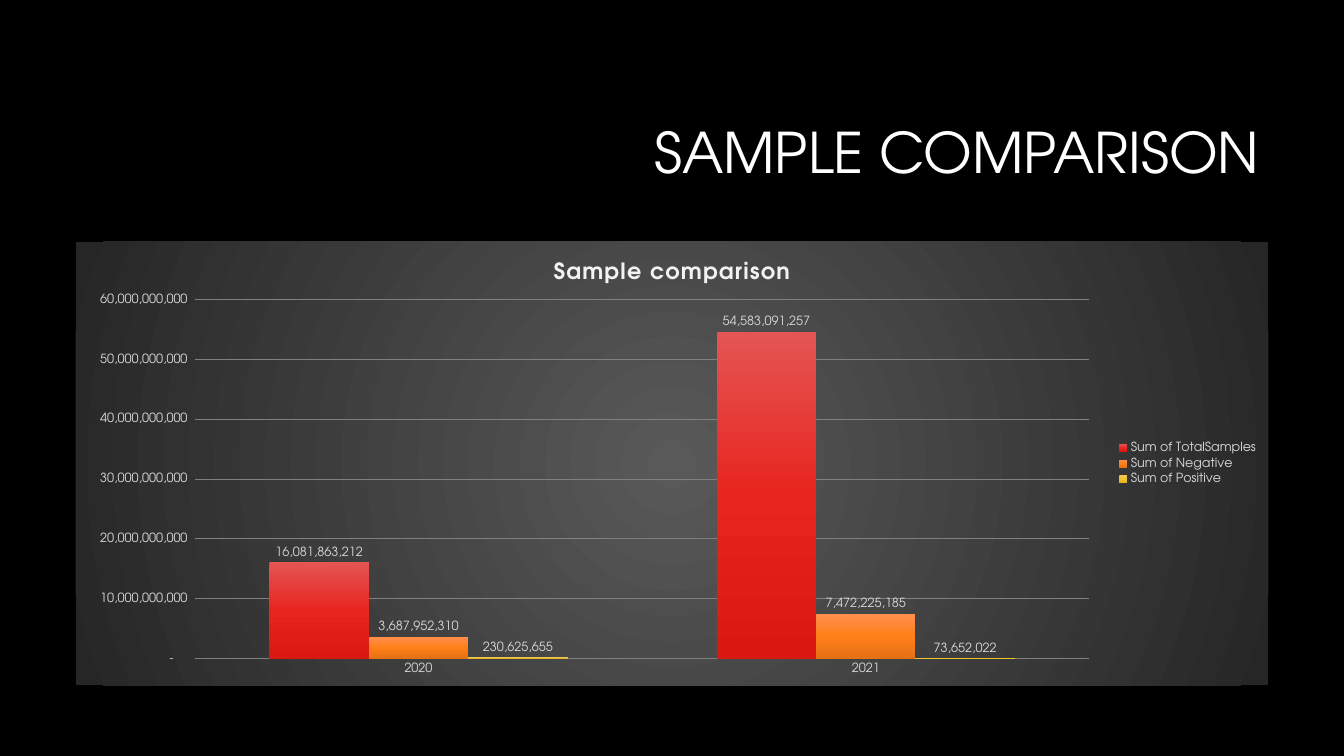
from lxml.etree import fromstring
from pptx import Presentation
from pptx.chart.data import CategoryChartData
from pptx.dml.color import RGBColor
from pptx.enum.chart import XL_CHART_TYPE, XL_LABEL_POSITION, XL_LEGEND_POSITION, XL_TICK_MARK
from pptx.enum.text import MSO_ANCHOR, PP_ALIGN
from pptx.oxml import parse_xml
from pptx.oxml.ns import nsdecls, qn
from pptx.util import Inches, Pt

FONT = "TeX Gyre Adventor"
BLACK = RGBColor(0x00, 0x00, 0x00)
WHITE = RGBColor(0xFF, 0xFF, 0xFF)
OFF_WHITE = RGBColor(0xF2, 0xF2, 0xF2)
LIGHT = RGBColor(0xD9, 0xD9, 0xD9)
GRID = RGBColor(0x80, 0x80, 0x80)
PANEL = (RGBColor(0x59, 0x59, 0x59), RGBColor(0x26, 0x26, 0x26))
RED = (RGBColor(0xE4, 0x55, 0x53), RGBColor(0xE8, 0x25, 0x1F), RGBColor(0xD8, 0x18, 0x11))
ORANGE = (RGBColor(0xFF, 0x8F, 0x4F), RGBColor(0xFF, 0x80, 0x19), RGBColor(0xE5, 0x71, 0x14))
YELLOW = (RGBColor(0xED, 0xC6, 0x59), RGBColor(0xF2, 0xC4, 0x2C), RGBColor(0xE1, 0xB3, 0x1D))
NUMBER = '_ * #,##0_ ;_ * \\-#,##0_ ;_ * "-"??_ ;_ '
LINEAR = '<a:lin ang="5400000" scaled="0"/>'
RADIAL = '<a:path path="circle"><a:fillToRect l="50000" t="50000" r="50000" b="50000"/></a:path>'

YEARS = ("2020", "2021")
SERIES = (
    ("Sum of TotalSamples", (16081863212, 54583091257), RED),
    ("Sum of Negative", (3687952310, 7472225185), ORANGE),
    ("Sum of Positive", (230625655, 73652022), YELLOW),
)


def set_font(font, size=9, color=LIGHT, bold=False):
    font.name = FONT
    font.size = Pt(size)
    font.bold = bold
    font.color.rgb = color


def write(tf, text, align=None, line_spacing=None, spacing=None, **fmt):
    p = tf.paragraphs[0]
    p.alignment = align
    p.line_spacing = line_spacing
    r = p.add_run()
    r.text = text
    set_font(r.font, **fmt)
    if spacing:
        r.font._element.set("spc", str(spacing))


def gradient(colors, direction):
    step = 100000 // (len(colors) - 1)
    stops = "".join(
        f'<a:gs pos="{i * step}"><a:srgbClr val="{color}"/></a:gs>'
        for i, color in enumerate(colors)
    )
    return f'<a:gradFill rotWithShape="1"><a:gsLst>{stops}</a:gsLst>{direction}</a:gradFill>'


class Deck:
    def __init__(self, width, height):
        self.prs = Presentation()
        self.prs.slide_width = Inches(width)
        self.prs.slide_height = Inches(height)

    def add_slide(self, color):
        self.s = self.prs.slides.add_slide(self.prs.slide_layouts[6])
        self.s.background.fill.solid()
        self.s.background.fill.fore_color.rgb = color

    def add_text(self, text, box, **fmt):
        tf = self.s.shapes.add_textbox(*map(Inches, box)).text_frame
        tf.word_wrap = True
        tf.vertical_anchor = MSO_ANCHOR.MIDDLE
        write(tf, text, **fmt)

    def add_columns(self, title, categories, series, box, plot_area):
        data = CategoryChartData(number_format=NUMBER)
        data.categories = categories
        for name, values, _ in series:
            data.add_series(name, values)
        chart = self.s.shapes.add_chart(
            XL_CHART_TYPE.COLUMN_CLUSTERED, *map(Inches, box), data
        ).chart
        set_font(chart.font, size=10, color=WHITE)
        write(chart.chart_title.text_frame, title, size=16, color=OFF_WHITE, bold=True, spacing=100)
        chart.chart_title.include_in_layout = False
        chart.has_legend = True
        chart.legend.position = XL_LEGEND_POSITION.RIGHT
        chart.legend.include_in_layout = False
        set_font(chart.legend.font)
        self.style_axes(chart)
        self.style_series(chart.plots[0], series)
        self.style_panel(chart, plot_area)

    def style_axes(self, chart):
        for axis in (chart.category_axis, chart.value_axis):
            axis.major_tick_mark = axis.minor_tick_mark = XL_TICK_MARK.NONE
            axis.format.line.fill.background()
            set_font(axis.tick_labels.font)
        axis = chart.value_axis
        axis.minimum_scale = 0
        axis.maximum_scale = 60_000_000_000
        axis.major_unit = 10_000_000_000
        axis.tick_labels.number_format = NUMBER
        axis.tick_labels.number_format_is_linked = False
        axis.major_gridlines.format.line.color.rgb = GRID
        axis.major_gridlines.format.line.width = Pt(0.75)

    def style_series(self, plot, series):
        plot.gap_width = 150
        plot.overlap = 0
        plot.vary_by_categories = False
        for columns, (_, _, colors) in zip(plot.series, series):
            fill = gradient(colors, LINEAR).replace("<a:gradFill", f"<a:gradFill {nsdecls('a')}", 1)
            columns._element.get_or_add_spPr().append(fromstring(fill))
            labels = columns.data_labels
            labels.show_value = True
            labels.position = XL_LABEL_POSITION.OUTSIDE_END
            labels.number_format = NUMBER
            labels.number_format_is_linked = False
            set_font(labels.font)

    def style_panel(self, chart, plot_area):
        space = chart._chartSpace
        space.find(qn("c:chart")).addnext(parse_xml(
            f'<c:spPr {nsdecls("c", "a")}>{gradient(PANEL, RADIAL)}<a:ln><a:noFill/></a:ln></c:spPr>'
        ))
        area = space.find(".//" + qn("c:plotArea"))
        for layout in area.findall(qn("c:layout")):
            area.remove(layout)
        places = "".join(f'<c:{key} val="{value}"/>' for key, value in zip("xywh", plot_area))
        area.insert(0, parse_xml(
            f'<c:layout {nsdecls("c")}><c:manualLayout><c:layoutTarget val="inner"/>'
            f'<c:xMode val="edge"/><c:yMode val="edge"/>{places}</c:manualLayout></c:layout>'
        ))


deck = Deck(13.33, 7.5)
deck.add_slide(BLACK)
deck.add_text("SAMPLE COMPARISON", (3.17, 0.84, 9.42, 1.41), align=PP_ALIGN.RIGHT,
              line_spacing=0.9, size=40, color=WHITE)
deck.add_columns("Sample comparison", YEARS, SERIES, (0.75, 2.4, 11.83, 4.4),
                 (0.1, 0.13, 0.75, 0.81))
deck.prs.save("out.pptx")
